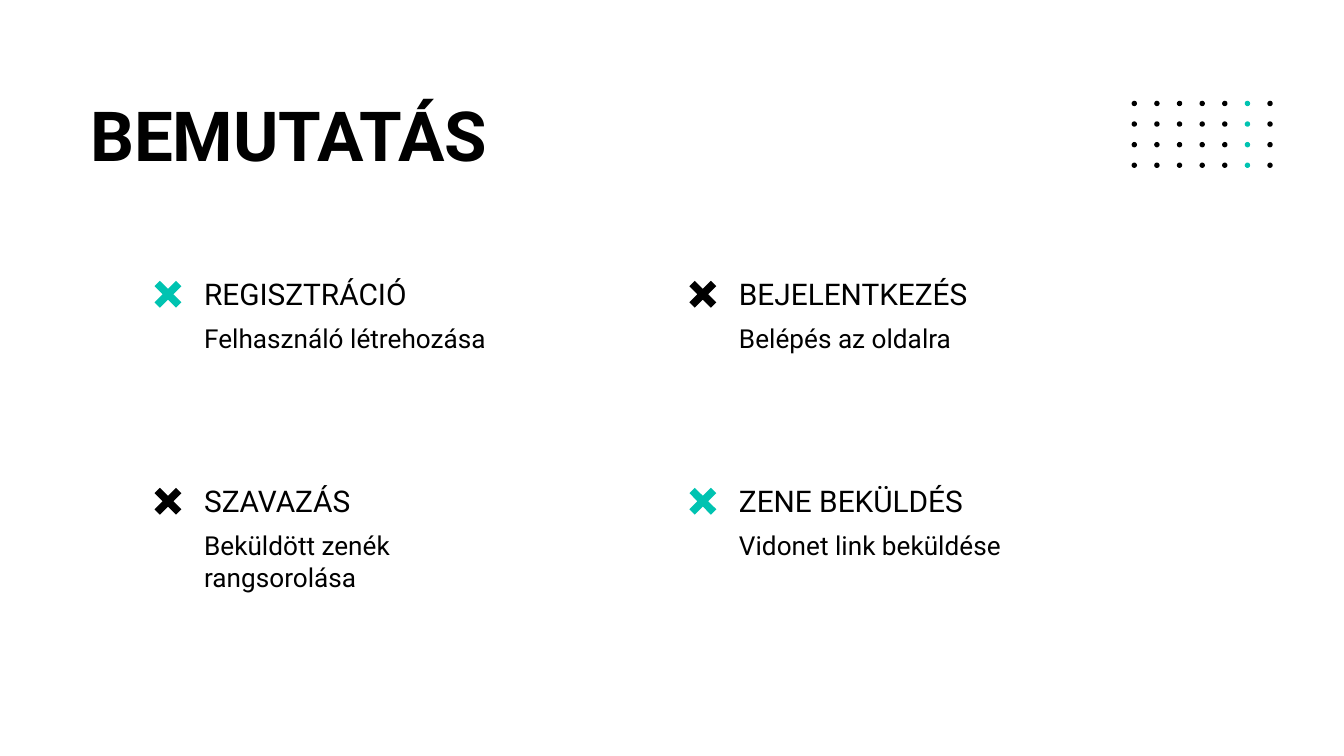
from dataclasses import dataclass
from itertools import product

from pptx import Presentation
from pptx.dml.color import RGBColor as Color
from pptx.enum.shapes import MSO_SHAPE as Shape
from pptx.enum.text import MSO_ANCHOR as Anchor, MSO_AUTO_SIZE as Fit, PP_ALIGN as Align
from pptx.util import Inches, Pt


@dataclass(frozen=True)
class Theme:
    font: str = "Roboto"
    black: Color = Color(0, 0, 0)
    teal: Color = Color(0x00, 0xC3, 0xB1)
    title: int = 37
    head: int = 16
    body: int = 14


THEME = Theme()
WIDTH = 10
HEIGHT = WIDTH * 9 / 16
LEFT, TOP = 1.15, 1.99
COL_GAP, ROW_GAP = 3.98, 1.54
CROSS = [
    (0.04, 0), (0, 0.04), (0.06, 0.1), (0, 0.16), (0.04, 0.2), (0.1, 0.14),
    (0.16, 0.2), (0.2, 0.16), (0.14, 0.1), (0.2, 0.04), (0.16, 0), (0.1, 0.06),
]
ITEMS = [
    ("REGISZTRÁCIÓ", "Felhasználó létrehozása", THEME.teal),
    ("BEJELENTKEZÉS", "Belépés az oldalra", THEME.black),
    ("SZAVAZÁS", "Beküldött zenék rangsorolása", THEME.black),
    ("ZENE BEKÜLDÉS", "Vidonet link beküldése", THEME.teal),
]


def paint(shape, color):
    shape.fill.solid()
    shape.fill.fore_color.rgb = color
    shape.line.fill.background()
    shape.shadow.inherit = False


def write(shape, text, size, bold=False, anchor=Anchor.TOP):
    frame = shape.text_frame
    frame.text = text
    frame.word_wrap = True
    frame.auto_size = Fit.NONE
    frame.vertical_anchor = anchor
    frame.margin_left = frame.margin_right = Inches(0.1)
    frame.margin_top = frame.margin_bottom = Inches(0.1)
    para = frame.paragraphs[0]
    para.alignment = Align.LEFT
    font = para.font
    font.name, font.size, font.bold = THEME.font, Pt(size), bold
    font.color.rgb = THEME.black


def add_title(slide, text):
    title = slide.shapes.title
    title.left, title.top = Inches(0.57), Inches(0.59)
    title.width, title.height = Inches(8.86), Inches(0.79)
    write(title, text, THEME.title, bold=True)


def add_text(slide, x, y, height, text, size, anchor=Anchor.TOP):
    box = slide.shapes.add_textbox(Inches(x), Inches(y), Inches(2.55), Inches(height))
    write(box, text, size, anchor=anchor)


def add_cross(slide, x, y, color):
    points = [(Inches(x + dx), Inches(y + dy)) for dx, dy in CROSS]
    pen = slide.shapes.build_freeform(*points[0])
    pen.add_line_segments(points[1:], close=True)
    paint(pen.convert_to_shape(), color)


def add_item(slide, x, y, head, body, color):
    add_cross(slide, x, y + 0.1, color)
    add_text(slide, x + 0.27, y, 0.39, head, THEME.head, Anchor.MIDDLE)
    add_text(slide, x + 0.27, y + 0.31, 0.79, body, THEME.body)


def add_dots(slide):
    group = slide.shapes.add_group_shape()
    size = Inches(0.04)
    for row, col in product(range(4), range(7)):
        x, y = 8.42 + col * 1.01 / 6, 0.75 + row * 0.46 / 3
        dot = group.shapes.add_shape(Shape.OVAL, Inches(x), Inches(y), size, size)
        paint(dot, THEME.teal if col == 5 else THEME.black)


def main():
    deck = Presentation()
    deck.slide_width, deck.slide_height = Inches(WIDTH), Inches(HEIGHT)
    slide = deck.slides.add_slide(deck.slide_layouts[5])
    add_dots(slide)
    add_title(slide, "BEMUTATÁS")
    for (row, col), item in zip(product(range(2), repeat=2), ITEMS):
        add_item(slide, LEFT + col * COL_GAP, TOP + row * ROW_GAP, *item)
    deck.save("out.pptx")


if __name__ == "__main__":
    main()
